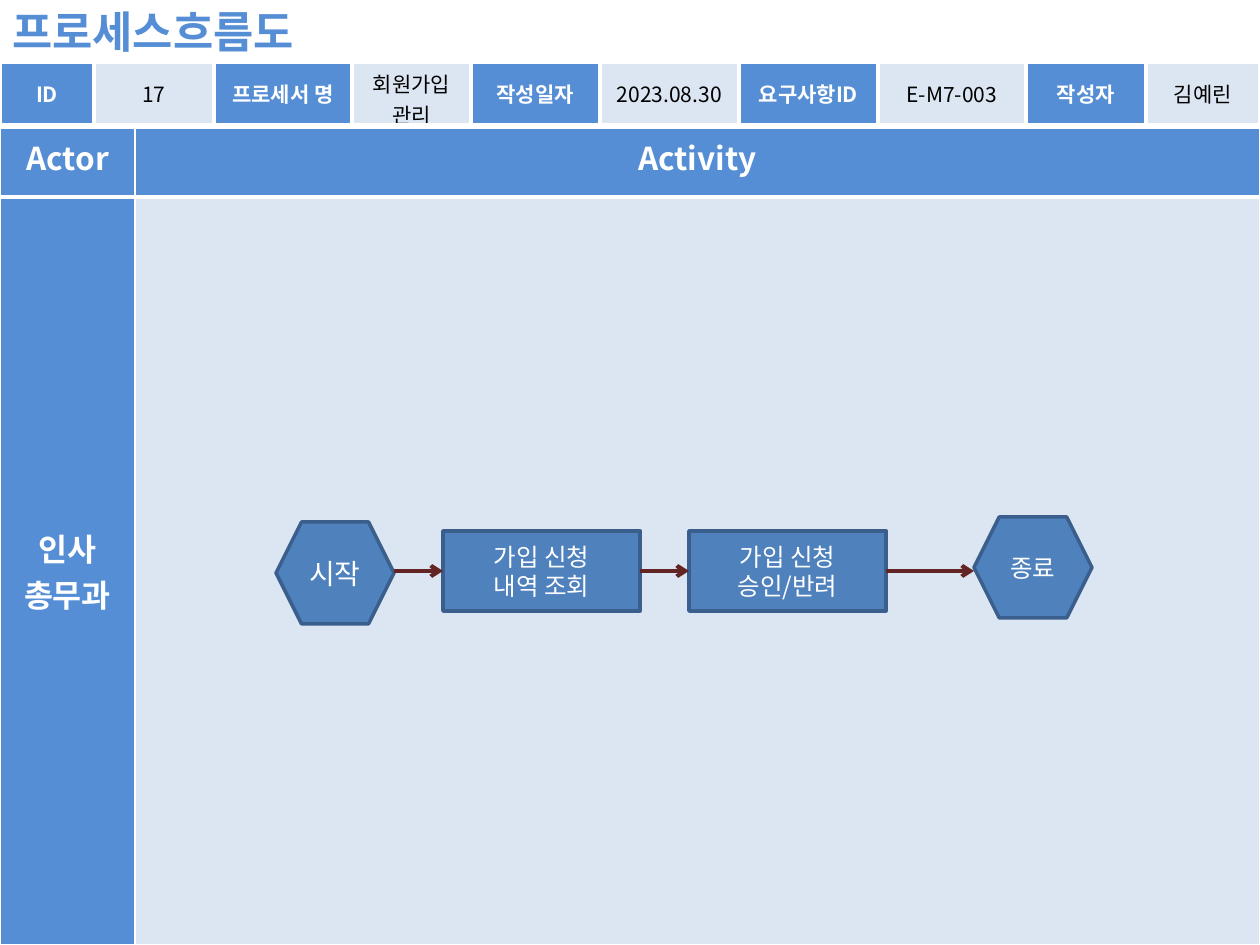
import pptx
import pptx.util
import pptx.dml.color
import pptx.enum.shapes
import pptx.enum.text
import pptx.oxml.ns
import lxml.etree

PX = 914400 // 126
FONT = "Noto Sans CJK KR"
WHITE = pptx.dml.color.RGBColor(0xFF, 0xFF, 0xFF)
BLACK = pptx.dml.color.RGBColor(0, 0, 0)
HEADER_BLUE = pptx.dml.color.RGBColor(0x55, 0x8E, 0xD5)
PALE_BLUE = pptx.dml.color.RGBColor(0xDC, 0xE6, 0xF2)
STEP_BLUE = pptx.dml.color.RGBColor(0x4F, 0x81, 0xBD)
STEP_EDGE = pptx.dml.color.RGBColor(0x3A, 0x5F, 0x8C)
ARROW_RED = pptx.dml.color.RGBColor(0x63, 0x25, 0x23)
CENTER = pptx.enum.text.PP_ALIGN.CENTER
MIDDLE = pptx.enum.text.MSO_ANCHOR.MIDDLE
qn = pptx.oxml.ns.qn


def write(text_frame, text, size, color, bold=False, align=CENTER):
    text_frame.text = text
    for paragraph in text_frame.paragraphs:
        paragraph.alignment = align
        for run in paragraph.runs:
            run.font.name = FONT
            run.font.size = pptx.util.Pt(size)
            run.font.bold = bold
            run.font.color.rgb = color
            properties = run.font._element
            lxml.etree.SubElement(properties, qn("a:ea"), typeface=FONT)


def style_cell(cell, fill, borders):
    properties = cell._tc.get_or_add_tcPr()
    for side, width in zip("LRTB", borders):
        line = lxml.etree.SubElement(properties, qn(f"a:ln{side}"), w=str(pptx.util.Pt(width)))
        solid = lxml.etree.SubElement(line, qn("a:solidFill"))
        lxml.etree.SubElement(solid, qn("a:srgbClr"), val=str(WHITE))
    cell.fill.solid()
    cell.fill.fore_color.rgb = fill


presentation = pptx.Presentation()
presentation.slide_width = pptx.util.Inches(10)
presentation.slide_height = pptx.util.Inches(7.5)
slide = presentation.slides.add_slide(presentation.slide_layouts[6])
shapes = slide.shapes

title = shapes.add_textbox(0, -1 * PX, 335 * PX, 65 * PX)
title.text_frame.word_wrap = False
write(title.text_frame, "프로세스흐름도", 25, HEADER_BLUE, True, pptx.enum.text.PP_ALIGN.LEFT)

activity_table = shapes.add_table(2, 2, 0, 128 * PX, 1260 * PX, 817 * PX).table
for column, width in zip(activity_table.columns, (135, 1125)):
    column.width = width * PX
for row, height in zip(activity_table.rows, (69, 748)):
    row.height = height * PX
activity_cells = [
    (0, 0, "Actor", HEADER_BLUE),
    (0, 1, "Activity", HEADER_BLUE),
    (1, 0, "인사\n총무과", HEADER_BLUE),
    (1, 1, "", PALE_BLUE),
]
for row, column, text, fill in activity_cells:
    cell = activity_table.cell(row, column)
    style_cell(cell, fill, (1, 1, 1, 3) if row == 0 else (1, 1, 3, 1))
    if text:
        write(cell.text_frame, text, 18, WHITE, True)
    if row == 1:
        cell.vertical_anchor = MIDDLE

HEXAGON = pptx.enum.shapes.MSO_SHAPE.HEXAGON
RECTANGLE = pptx.enum.shapes.MSO_SHAPE.RECTANGLE
steps = [
    (HEXAGON, 276, 522, 118, 102, "시작", 16),
    (RECTANGLE, 443, 531, 197, 80, "가입 신청\n내역 조회", 14),
    (RECTANGLE, 689, 531, 197, 80, "가입 신청\n승인/반려", 14),
    (HEXAGON, 974, 517, 118, 101, "종료", 14),
]
step_shapes = []
for kind, left, top, width, height, text, size in steps:
    shape = shapes.add_shape(kind, left * PX, top * PX, width * PX, height * PX)
    shape.shadow.inherit = False
    shape.fill.solid()
    shape.fill.fore_color.rgb = STEP_BLUE
    shape.line.color.rgb = STEP_EDGE
    shape.line.width = pptx.util.Pt(2)
    shape.text_frame.vertical_anchor = MIDDLE
    write(shape.text_frame, text, size, WHITE)
    step_shapes.append(shape)

for source, target in zip(step_shapes, step_shapes[1:]):
    arrow = shapes.add_connector(
        pptx.enum.shapes.MSO_CONNECTOR.STRAIGHT,
        source.left + source.width, 571 * PX, target.left, 571 * PX)
    if source.auto_shape_type == RECTANGLE:
        arrow.begin_connect(source, 3)
    if target.auto_shape_type == RECTANGLE:
        arrow.end_connect(target, 1)
    arrow.line.color.rgb = ARROW_RED
    arrow.line.width = pptx.util.Pt(2.25)
    lxml.etree.SubElement(arrow.line._get_or_add_ln(), qn("a:tailEnd"), type="arrow")
    lxml.etree.SubElement(arrow._element.spPr, qn("a:effectLst"))

info = [
    ("ID", 94), ("17", 120),
    ("프로세서 명", 138), ("회원가입\n관리", 119),
    ("작성일자", 129), ("2023.08.30", 139),
    ("요구사항ID", 139), ("E-M7-003", 148),
    ("작성자", 120), ("김예린", 114),
]
info_table = shapes.add_table(1, len(info), 0, 62 * PX, 1260 * PX, 63 * PX).table
for index, (text, width) in enumerate(info):
    info_table.columns[index].width = width * PX
    cell = info_table.cell(0, index)
    is_label = index % 2 == 0
    style_cell(cell, HEADER_BLUE if is_label else PALE_BLUE, (2.25,) * 4)
    cell.vertical_anchor = MIDDLE
    write(cell.text_frame, text, 12, WHITE if is_label else BLACK, is_label)

presentation.save("out.pptx")
